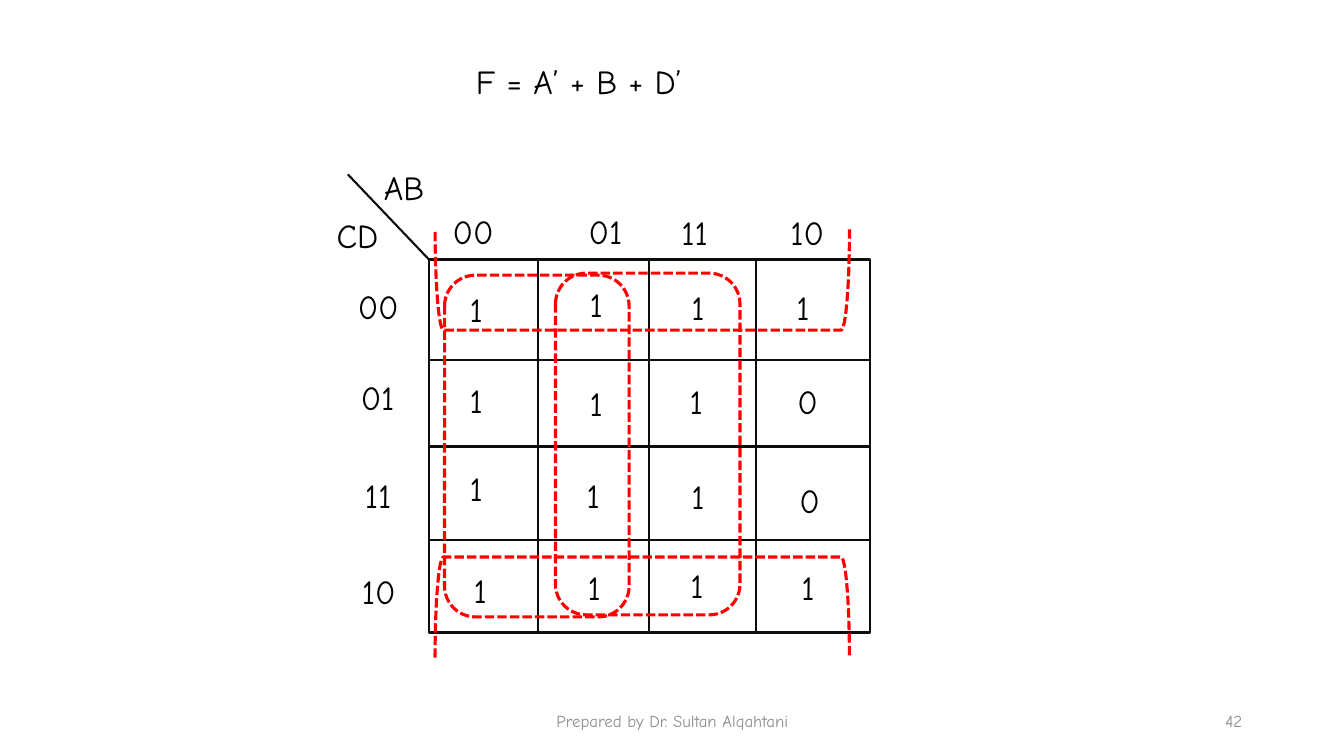
from lxml import etree
from pptx import Presentation
from pptx.dml.color import RGBColor
from pptx.enum.dml import MSO_LINE
from pptx.enum.shapes import MSO_CONNECTOR, MSO_SHAPE
from pptx.enum.text import MSO_ANCHOR, MSO_AUTO_SIZE, PP_ALIGN
from pptx.oxml.ns import qn
from pptx.util import Inches, Pt

LEFT, MID, RIGHT = PP_ALIGN.LEFT, PP_ALIGN.CENTER, PP_ALIGN.RIGHT
TOP, CENTER = MSO_ANCHOR.TOP, MSO_ANCHOR.MIDDLE
GROW, FIXED = MSO_AUTO_SIZE.SHAPE_TO_FIT_TEXT, MSO_AUTO_SIZE.NONE
RECT, ROUND = MSO_SHAPE.RECTANGLE, MSO_SHAPE.ROUNDED_RECTANGLE
BRACKET = MSO_SHAPE.RIGHT_BRACKET
STRAIGHT = MSO_CONNECTOR.STRAIGHT
DASH = MSO_LINE.SQUARE_DOT

FONT = "Comic Neue"
BLACK, INK, RED, GREY, WHITE = "000000", "0D0D0D", "FF0000", "8C8C8C", "FFFFFF"
WIDTHS = {"0": 2.05, "1": 1.5}

BOARD = (42.55, 25.75, 43.7, 37)
COLS, ROWS = (53.4, 64.4, 75), (35.7, 44.3, 53.6)
HEADS = (
    ("AB", 37.1, 16.1), ("CD", 32.4, 20.8),
    ("00", 43.9, 20.4), ("01", 57.4, 20.4), ("11", 66.6, 20.5), ("10", 77.4, 20.5),
    ("00", 34.5, 27.9), ("01", 34.8, 36.9), ("11", 35.2, 46.6), ("10", 34.9, 56.1),
)
CELLS = (
    ("1111", (45.6, 57.5, 67.6, 78), (28.2, 27.7, 28, 28)),
    ("1110", (45.6, 57.5, 67.4, 78.1), (37.2, 37.5, 37.3, 37.3)),
    ("1110", (45.6, 57.2, 67.6, 78.3), (45.9, 46.6, 46.7, 47.1)),
    ("1111", (46, 57.3, 67.5, 78.5), (56, 55.8, 55.6, 55.8)),
)
LOOPS = ((44.1, 27.3), (55.1, 27.1))
WRAPS = ((39.7, 270), (7.2, 90))


def tint(code):
    """Turn a hex string into a colour."""
    return RGBColor.from_string(code)


def unit(num):
    """Turn grid columns or rows, ten to the inch, into a length."""
    return Inches(num / 10)


class Slide:
    """Hold the style and the current slide."""

    def __init__(self, deck):
        """Add a title-only slide to the deck."""
        self.page = deck.slides.add_slide(deck.slide_layouts[5])
        self.shapes = self.page.shapes

    def letter(self, box, text, size, color, align, anchor, fit, wrap):
        """Fill a box with one styled line of text."""
        frame = box.text_frame
        frame.text = text
        frame.word_wrap, frame.auto_size = wrap, fit
        frame.vertical_anchor = anchor
        para = frame.paragraphs[0]
        para.alignment = align
        para.font.name, para.font.size = FONT, Pt(size)
        para.font.color.rgb = tint(color)

    def title(self, text, *area):
        """Place and style the title."""
        box = self.shapes.title
        box.left, box.top, box.width, box.height = map(unit, area)
        self.letter(box, text, 24, BLACK, LEFT, TOP, GROW, False)

    def label(self, text, left, top):
        """Add a label as wide as its letters."""
        wide = 2 + sum(WIDTHS.get(sign, 2.3) for sign in text)
        box = self.shapes.add_textbox(*map(unit, (left, top, wide, 5)))
        self.letter(box, text, 24, BLACK, LEFT, TOP, GROW, False)

    def foot(self, text, left, wide, align):
        """Add a footer line."""
        box = self.shapes.add_textbox(*map(unit, (left, 69.5, wide, 4)))
        self.letter(box, text, 12, GREY, align, CENTER, FIXED, True)

    def line(self, *ends):
        """Add a straight rule between two points."""
        rule = self.shapes.add_connector(STRAIGHT, *map(unit, ends))
        rule.line.color.rgb, rule.line.width = tint(INK), Pt(1.5)
        etree.SubElement(rule.element.spPr, qn("a:effectLst"))

    def shape(self, kind, area, color, width, fill=None, dash=None, turn=0):
        """Add an outlined shape."""
        item = self.shapes.add_shape(kind, *map(unit, area))
        item.shadow.inherit = False
        item.rotation = turn
        if fill:
            item.fill.solid()
            item.fill.fore_color.rgb = tint(fill)
        else:
            item.fill.background()
        item.line.color.rgb, item.line.width = tint(color), Pt(width)
        if dash:
            item.line.dash_style = dash


def main():
    """Build the map and save it."""
    deck = Presentation()
    deck.slide_width, deck.slide_height = Inches(13.33), Inches(7.5)
    slide = Slide(deck)
    slide.title("F = A’ + B + D’", 46.2, 5.5, 24, 5)

    left, top, wide, high = BOARD
    slide.shape(RECT, BOARD, INK, 1.5, fill=WHITE)
    for col in COLS:
        slide.line(col, top, col, top + high)
    for row in ROWS:
        slide.line(left, row, left + wide, row)
    slide.line(34.5, 17.3, left, top)

    for head in HEADS:
        slide.label(*head)
    for bits, lefts, tops in CELLS:
        for cell in zip(bits, lefts, tops):
            slide.label(*cell)

    for loop in LOOPS:
        slide.shape(ROUND, (*loop, 18.3, 33.9), RED, 2.25, dash=DASH)
    for above, turn in WRAPS:
        slide.shape(BRACKET, (58.7, above, 10, 41.1), RED, 2.25, dash=DASH, turn=turn)

    slide.foot("Prepared by Dr. Sultan Alqahtani", 44.2, 45, MID)
    slide.foot("42", 94.2, 30, RIGHT)
    deck.save("out.pptx")


if __name__ == "__main__":
    main()
